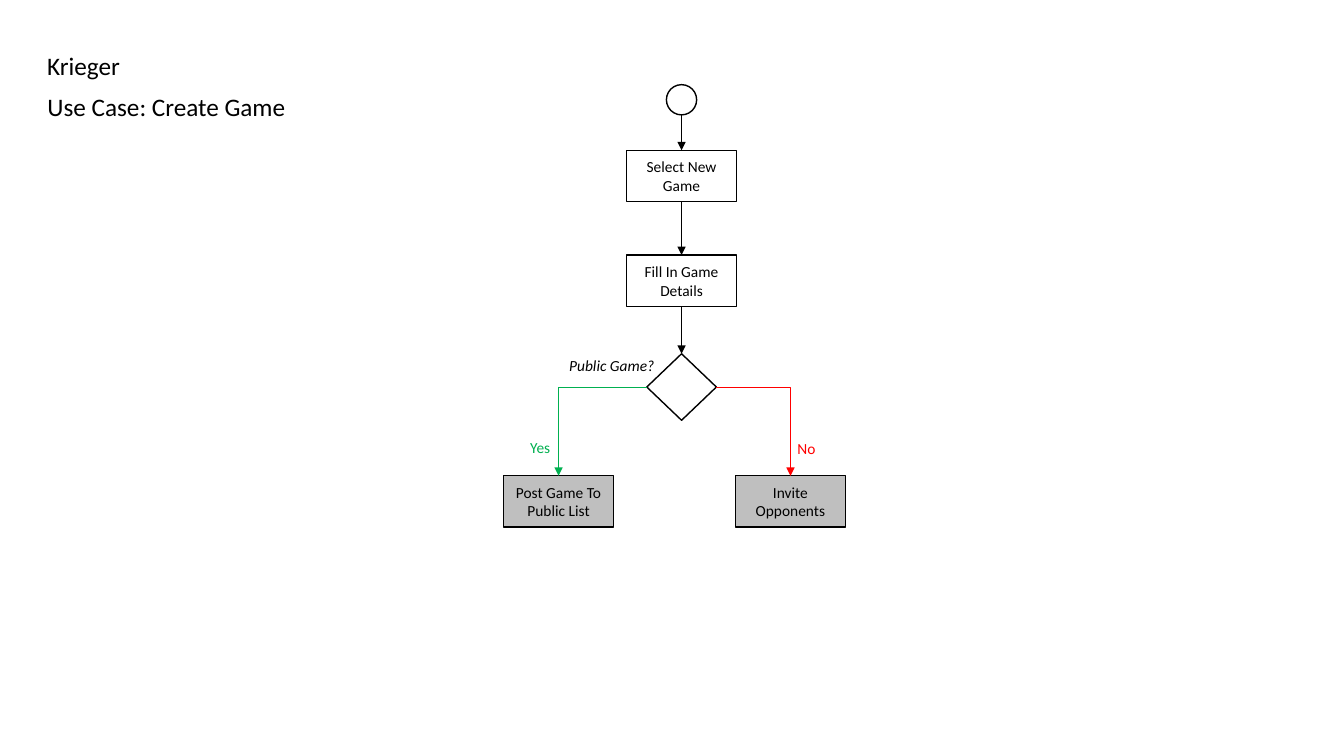
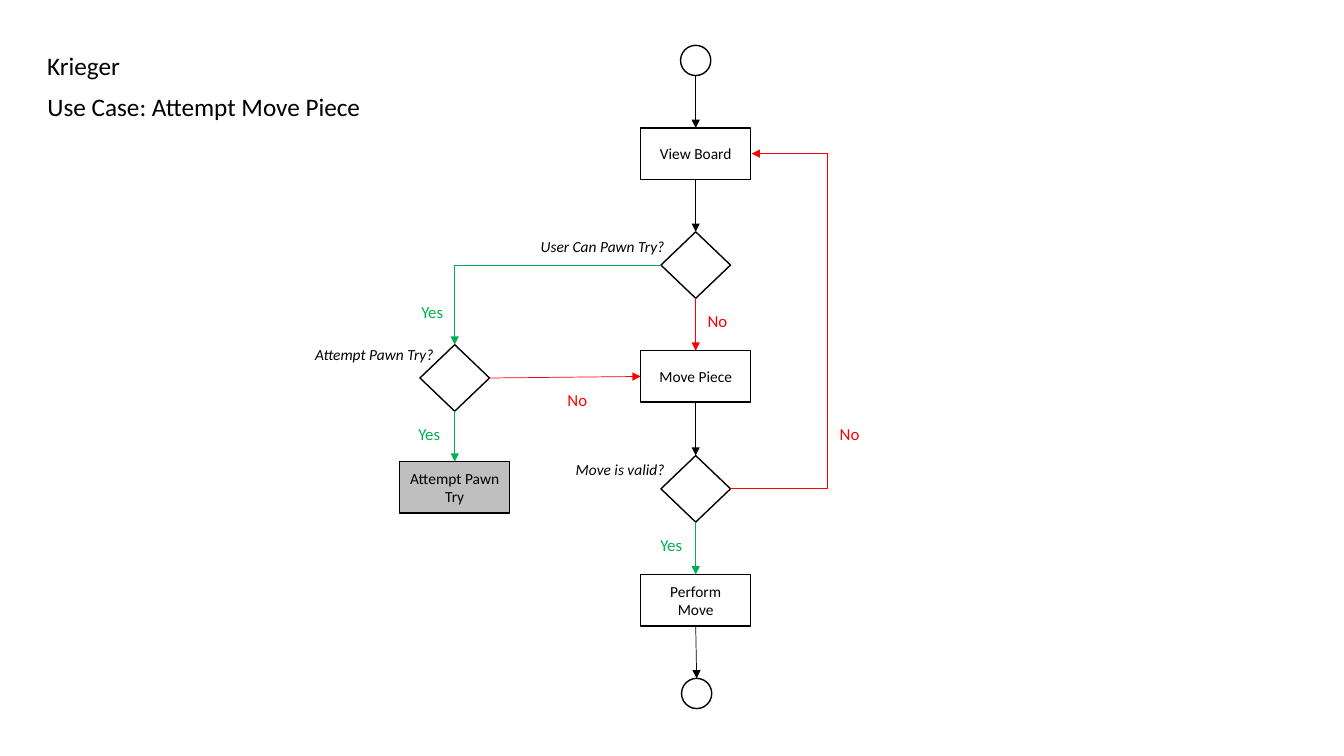
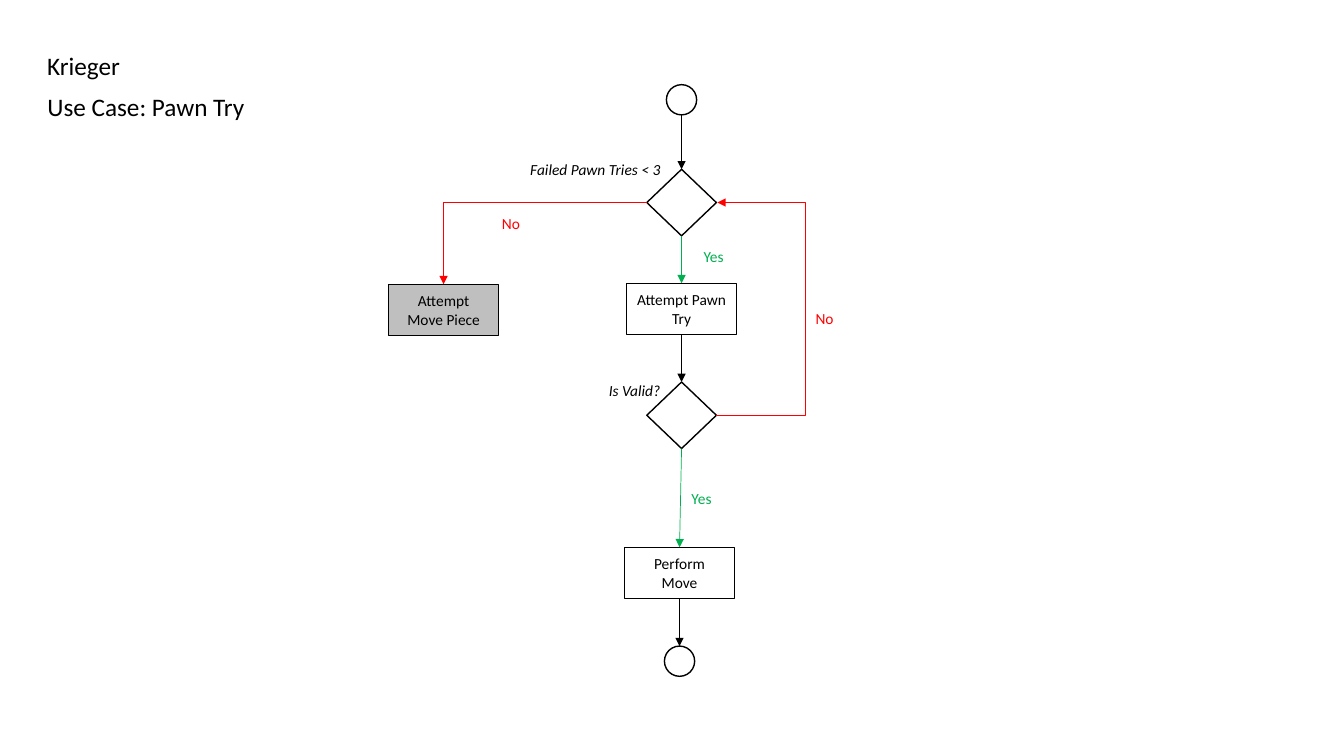
from dataclasses import dataclass
from pptx import Presentation
from pptx import util as u
from pptx.dml.color import RGBColor
from pptx.enum import shapes, text
from pptx.oxml.ns import qn
from lxml import etree


@dataclass(frozen=True)
class Theme:
    """Colours, type sizes and line widths of the deck."""
    font: str = "Calibri"
    ink: str = "000000"
    paper: str = "FFFFFF"
    linked: str = "BFBFBF"
    yes: str = "00B050"
    no: str = "FF0000"
    heading: int = 18
    body: int = 11
    tag: int = 12
    outline: float = 1
    arrow: float = 0.5


T = Theme()
PRODUCT = "Krieger"

# Content. A spine is stacked downwards: key, kind, text, centre x, gap above.
# Side nodes: key, kind, text, centre x, top.
# Arrows: from, side, to, side, colour, route ("line", "elbow" or turning x).
# Labels: text, style, left, top.
SLIDES = [
    {
        "title": ("Use Case: Create Game", 2.59),
        "spine": [("start", "dot", "", 6.76, 0.84),
                  ("select", "step", "Select New Game", 6.76, 0.35),
                  ("fill", "step", "Fill In Game Details", 6.76, 0.53),
                  ("public", "choice", "", 6.76, 0.47)],
        "sides": [("post", "case", "Post Game To Public List", 5.54, 4.72),
                  ("invite", "case", "Invite Opponents", 7.84, 4.72)],
        "arrows": [("start", "B", "select", "T", T.ink, "line"),
                   ("select", "B", "fill", "T", T.ink, "line"),
                   ("fill", "B", "public", "T", T.ink, "line"),
                   ("public", "L", "post", "T", T.yes, "elbow"),
                   ("public", "R", "invite", "T", T.no, "elbow")],
        "labels": [("Public Game?", "question", 5, 3.48),
                   ("Yes", "branch", 5.16, 4.3),
                   ("No", "branch", 7.81, 4.31)],
    },
    {
        "title": ("Use Case: Attempt Move Piece", 3.35),
        "spine": [("start", "dot", "", 6.9, 0.45),
                  ("view", "step", "View Board", 6.9, 0.52),
                  ("can_try", "choice", "", 6.9, 0.52),
                  ("move", "step", "Move Piece", 6.9, 0.52),
                  ("valid", "choice", "", 6.9, 0.53),
                  ("perform", "step", "Perform Move", 6.9, 0.52),
                  ("end", "dot", "", 6.91, 0.52)],
        "sides": [("try", "choice", "", 4.51, 3.42),
                  ("pawn", "case", "Attempt Pawn Try", 4.51, 4.58)],
        "arrows": [("start", "B", "view", "T", T.ink, "line"),
                   ("view", "B", "can_try", "T", T.ink, "line"),
                   ("can_try", "B", "move", "T", T.no, "line"),
                   ("move", "B", "valid", "T", T.ink, "line"),
                   ("valid", "B", "perform", "T", T.yes, "line"),
                   ("perform", "B", "end", "T", T.ink, "line"),
                   ("can_try", "L", "try", "T", T.yes, "elbow"),
                   ("try", "R", "move", "L", T.no, "line"),
                   ("try", "B", "pawn", "T", T.yes, "line"),
                   ("valid", "R", "view", "R", T.no, 8.21)],
        "labels": [("User Can Pawn Try?", "question", 5.1, 2.3),
                   ("Attempt Pawn Try?", "question", 2.81, 3.37),
                   ("Move is valid?", "question", 5.1, 4.52),
                   ("Yes", "tag", 4.08, 2.94), ("Yes", "tag", 4.05, 4.15),
                   ("Yes", "tag", 6.45, 5.26), ("No", "tag", 6.92, 3.03),
                   ("No", "tag", 5.53, 3.82), ("No", "tag", 8.23, 4.15)],
    },
    {
        "title": ("Use Case: Pawn Try", 2.18),
        "spine": [("start", "dot", "", 6.76, 0.84),
                  ("failed", "choice", "", 6.76, 0.54),
                  ("try", "step", "Attempt Pawn Try", 6.76, 0.47),
                  ("valid", "choice", "", 6.76, 0.47),
                  ("perform", "step", "Perform Move", 6.74, 0.98),
                  ("end", "dot", "", 6.74, 0.47)],
        "sides": [("move", "case", "Attempt Move Piece", 4.4, 2.82)],
        "arrows": [("start", "B", "failed", "T", T.ink, "line"),
                   ("failed", "B", "try", "T", T.yes, "line"),
                   ("try", "B", "valid", "T", T.ink, "line"),
                   ("valid", "B", "perform", "T", T.yes, "line"),
                   ("perform", "B", "end", "T", T.ink, "line"),
                   ("failed", "L", "move", "T", T.no, "elbow"),
                   ("valid", "R", "failed", "R", T.no, 8)],
        "labels": [("Failed Pawn Tries < 3", "remark", 5.16, 1.54),
                   ("Is Valid?", "remark", 5.94, 3.73),
                   ("Yes", "branch", 6.88, 2.4), ("Yes", "branch", 6.76, 4.8),
                   ("No", "branch", 4.88, 2.07), ("No", "branch", 7.99, 3.02)],
    },
]

# Node kinds: preset, width, height, fill.
PRESET = shapes.MSO_SHAPE
KINDS = {"dot": (PRESET.OVAL, 0.3, 0.3, T.paper),
         "step": (PRESET.RECTANGLE, 1.09, 0.51, T.paper),
         "case": (PRESET.RECTANGLE, 1.09, 0.51, T.linked),
         "choice": (PRESET.DIAMOND, 0.69, 0.66, T.paper)}
# Label styles: width, height, size, italic, alignment.
LEFT, CENTRE, RIGHT = text.PP_ALIGN.LEFT, text.PP_ALIGN.CENTER, text.PP_ALIGN.RIGHT
LABELS = {"question": (1.59, 0.29, T.body, True, RIGHT),
          "remark": (1.59, 0.29, T.body, True, LEFT),
          "branch": (1.59, 0.29, T.body, False, LEFT),
          "tag": (0.42, 0.3, T.tag, False, LEFT)}
ANSWERS = {"Yes": T.yes, "No": T.no}
# Sides: connection site and position as a share of the node's size.
SIDES = {"T": (0, 0.5, 0), "L": (1, 0, 0.5), "B": (2, 0.5, 1), "R": (3, 1, 0.5)}
HEADING = (0.37, 0.45, 0.41, 0.4)  # left, top, row pitch, height


def rgb(code):
    """Turn a hex code into a colour."""
    return RGBColor.from_string(code)


def write(shape, words, size, colour=T.ink, align=LEFT, italic=False, wrap=True):
    """Set and format the text of a shape."""
    tf = shape.text_frame
    tf.text = words
    tf.word_wrap = wrap
    p = tf.paragraphs[0]
    p.alignment = align
    for r in p.runs:
        f = r.font
        f.name, f.size, f.italic = T.font, u.Pt(size), italic
        f.color.rgb = rgb(colour)


def add_heading(s, title, width):
    """Place the product name and, one row below, the slide title."""
    left, top, pitch, height = HEADING
    sp = s.shapes.add_textbox(*map(u.Inches, (left, top, 0.93, height)))
    write(sp, PRODUCT, T.heading, wrap=False)
    sp = s.shapes.title
    sp.left, sp.top, sp.width, sp.height = map(
        u.Inches, (left, top + pitch, width, height))
    write(sp, title, T.heading, wrap=False)
    sp.text_frame.vertical_anchor = text.MSO_ANCHOR.TOP
    sp.text_frame.auto_size = text.MSO_AUTO_SIZE.NONE


def add_node(s, kind, words, cx, top):
    """Draw one node of the flow, centred on cx."""
    preset, w, h, fill = KINDS[kind]
    sp = s.shapes.add_shape(preset, *map(u.Inches, (cx - w / 2, top, w, h)))
    sp.shadow.inherit = False
    sp.fill.solid()
    sp.fill.fore_color.rgb = rgb(fill)
    sp.line.color.rgb = rgb(T.ink)
    sp.line.width = u.Pt(T.outline)
    if words:
        write(sp, words, T.body, align=CENTRE)
        sp.text_frame.vertical_anchor = text.MSO_ANCHOR.MIDDLE
    return sp


def add_nodes(s, spine, sides):
    """Stack the spine by its gaps, add the side nodes, return all by key."""
    nodes, y = {}, 0
    for key, kind, words, cx, gap in spine:
        nodes[key] = add_node(s, kind, words, cx, y + gap)
        y += gap + KINDS[kind][2]
    for key, kind, words, cx, top in sides:
        nodes[key] = add_node(s, kind, words, cx, top)
    return nodes


def site(node, side):
    """Return the point in the middle of a node's side."""
    _, fx, fy = SIDES[side]
    return int(node.left + fx * node.width), int(node.top + fy * node.height)


def add_arrow(s, start, out, end, into, colour, route):
    """Join two nodes by a straight, once bent or looping arrow."""
    (x1, y1), (x2, y2) = site(start, out), site(end, into)
    loop = not isinstance(route, str)
    if loop:
        x2 += u.Inches(0.01)  # a loop needs some width to scale its turn by
    straight = route == "line"
    kind = shapes.MSO_CONNECTOR.STRAIGHT if straight else shapes.MSO_CONNECTOR.ELBOW
    c = s.shapes.add_connector(kind, x1, y1, x2, y2)
    if straight:
        if start.auto_shape_type != PRESET.OVAL:
            c.begin_connect(start, SIDES[out][0])
        if end.auto_shape_type != PRESET.OVAL:
            c.end_connect(end, SIDES[into][0])
    c.line.color.rgb = rgb(colour)
    c.line.width = u.Pt(T.arrow)
    props = c._element.spPr
    geom = props.find(qn("a:prstGeom"))
    if route == "elbow":
        geom.set("prst", "bentConnector2")
    if loop:
        turn = round((u.Inches(route) - x1) / (x2 - x1) * 100000)
        etree.SubElement(geom.find(qn("a:avLst")), qn("a:gd"),
                         name="adj1", fmla=f"val {turn}")
    etree.SubElement(props.find(qn("a:ln")), qn("a:tailEnd"), type="triangle")
    etree.SubElement(props, qn("a:effectLst"))


def add_label(s, words, style, left, top):
    """Write a question or an answer beside the flow."""
    w, h, size, italic, align = LABELS[style]
    sp = s.shapes.add_textbox(*map(u.Inches, (left, top, w, h)))
    write(sp, words, size, ANSWERS.get(words, T.ink), align, italic,
          wrap=style != "tag")


def main():
    """Build the deck."""
    prs = Presentation()
    prs.slide_width, prs.slide_height = u.Inches(13.33), u.Inches(7.5)
    for flow in SLIDES:
        s = prs.slides.add_slide(prs.slide_layouts.get_by_name("Title Only"))
        add_heading(s, *flow["title"])
        nodes = add_nodes(s, flow["spine"], flow["sides"])
        for start, out, end, into, colour, route in flow["arrows"]:
            add_arrow(s, nodes[start], out, nodes[end], into, colour, route)
        for label in flow["labels"]:
            add_label(s, *label)
    prs.save("out.pptx")


main()
